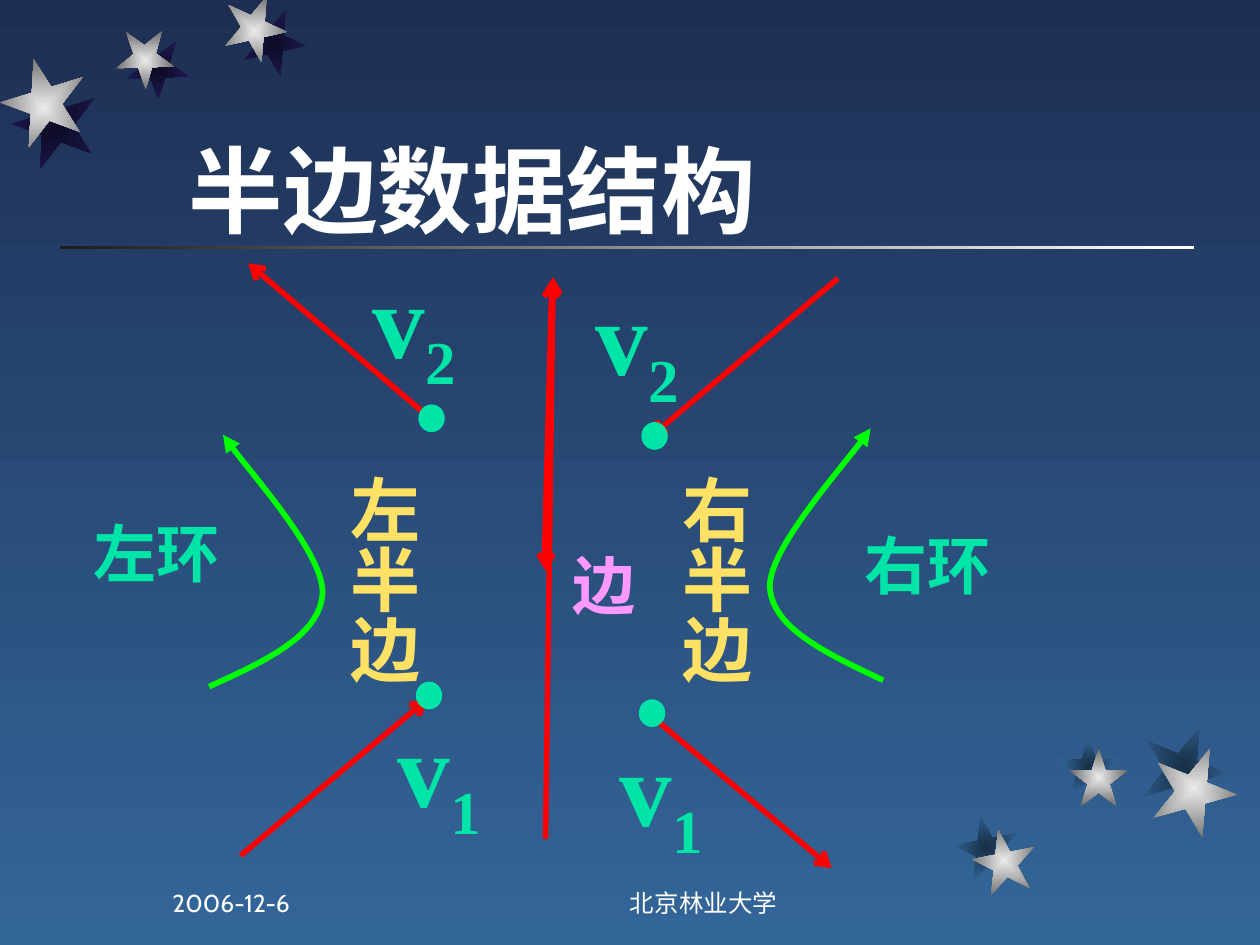
from dataclasses import dataclass

from lxml import etree
from pptx import Presentation
from pptx import util as u
from pptx.dml.color import RGBColor
from pptx.enum import shapes, text
from pptx.oxml import ns

WHITE = RGBColor(0xFF, 0xFF, 0xFF)
RULE_DARK = RGBColor(0x1C, 0x1C, 0x1C)
SKY_TOP = RGBColor(0x1E, 0x2E, 0x53)
SKY_BOTTOM = RGBColor(0x33, 0x66, 0x99)
STAR_FACE = (RGBColor(0xEA, 0xEA, 0xEA), RGBColor(0x6B, 0x6B, 0x6B))
SHADOW_TOP = (RGBColor(0x0D, 0x0B, 0x26), RGBColor(0x1E, 0x1A, 0x53))
SHADOW_BOTTOM = (RGBColor(0x17, 0x2F, 0x46), SKY_BOTTOM)
RED = RGBColor(0xFF, 0x00, 0x00)
GREEN = RGBColor(0x00, 0xFF, 0x00)
TEAL = RGBColor(0x00, 0xE4, 0xA8)
PINK = RGBColor(0xFF, 0x99, 0xFF)
YELLOW = RGBColor(0xFF, 0xE2, 0x65)
SANS, CJK, SERIF = "Cabin", "Noto Sans CJK SC", "Times New Roman"

Point = tuple[float, float]
Colors = tuple[RGBColor, RGBColor]


@dataclass
class Star:
    face: Point
    shadow: Point
    size: float
    rotation: float
    shadow_width: float


@dataclass
class Arrow:
    start: Point
    end: Point
    tip: str


@dataclass
class Label:
    words: str
    box: tuple[float, float, float, float]
    size: int
    font: str
    color: RGBColor
    bold: bool = True
    subscript: str = ""
    margins: Point = (0.1, 0.05)
    anchor: text.MSO_ANCHOR = text.MSO_ANCHOR.TOP
    align: text.PP_ALIGN = text.PP_ALIGN.LEFT
    wrap: bool = False
    vertical: bool = False


def set_gradient(fill, colors: Colors, angle: float) -> None:
    fill.gradient()
    fill.gradient_angle = angle
    for stop, color in zip(fill.gradient_stops, colors):
        stop.color.rgb = color


def draw_shape(page, kind, left: float, top: float, width: float, height: float):
    shape = page.shapes.add_shape(
        kind, u.Inches(left), u.Inches(top), u.Inches(width), u.Inches(height))
    shape.shadow.inherit = False
    shape.line.fill.background()
    return shape


def draw_star(page, place: Point, width: float, star: Star, colors: Colors) -> None:
    shape = draw_shape(page, shapes.MSO_SHAPE.STAR_5_POINT, *place, width, star.size)
    shape.rotation = star.rotation
    set_gradient(shape.fill, colors, 0)
    # Turn the linear gradient into one that spreads from the centre
    linear = shape._element.spPr.find(".//" + ns.qn("a:lin"))
    spread = etree.Element(ns.qn("a:path"), path="rect")
    etree.SubElement(spread, ns.qn("a:fillToRect"),
                     {side: "50000" for side in "ltrb"})
    linear.getparent().replace(linear, spread)


def draw_cluster(page, stars: list[Star], shadow: Colors) -> None:
    for star in stars:
        draw_star(page, star.shadow, star.shadow_width, star, shadow)
    for star in stars:
        draw_star(page, star.face, star.size, star, STAR_FACE)


def style_line(line, color: RGBColor, width: float, tip: str, kind: str) -> None:
    line.color.rgb = color
    line.width = u.Pt(width)
    etree.SubElement(line._get_or_add_ln(), ns.qn(f"a:{tip}End"), type=kind)


def draw_arrow(page, arrow: Arrow) -> None:
    connector = page.shapes.add_connector(
        shapes.MSO_CONNECTOR.STRAIGHT,
        *(u.Inches(value) for value in arrow.start + arrow.end))
    style_line(connector.line, RED, 3.12, arrow.tip, "arrow")
    etree.SubElement(connector._element.spPr, ns.qn("a:effectLst"))


def bezier(knots: list[Point], share: float) -> Point:
    rest = 1 - share
    weights = (rest**3, 3 * rest**2 * share, 3 * rest * share**2, share**3)
    x, y = (sum(w * value for w, value in zip(weights, axis)) for axis in zip(*knots))
    return u.Inches(x), u.Inches(y)


def draw_loop(page, knots: list[Point], steps: int = 24) -> None:
    points = [bezier(knots[first:first + 4], step / steps)
              for first in (0, 3) for step in range(steps + 1)]
    builder = page.shapes.build_freeform(*points[0])
    builder.add_line_segments(points[1:], close=False)
    curve = builder.convert_to_shape()
    curve.shadow.inherit = False
    curve.fill.background()
    style_line(curve.line, GREEN, 3.25, "tail", "triangle")


def draw_label(page, label: Label) -> None:
    box = page.shapes.add_textbox(*(u.Inches(value) for value in label.box))
    frame = box.text_frame
    frame.word_wrap = label.wrap
    frame.vertical_anchor = label.anchor
    frame.margin_left = frame.margin_right = u.Inches(label.margins[0])
    frame.margin_top = frame.margin_bottom = u.Inches(label.margins[1])
    if label.vertical:
        frame._txBody.bodyPr.set("vert", "eaVert")
    para = frame.paragraphs[0]
    para.alignment = label.align
    para.font.name = label.font
    para.font.size = u.Pt(label.size)
    para.font.bold = label.bold
    para.font.color.rgb = label.color
    para.add_run().text = label.words
    if label.subscript:
        span = para.add_run()
        span.text = label.subscript
        span._r.get_or_add_rPr().set("baseline", "-25000")


TOP_STARS = [Star((1.77, 0), (1.92, 0.11), 0.5, 167.3, 0.5),
             Star((0.92, 0.25), (1, 0.33), 0.46, 178.3, 0.5),
             Star((0.01, 0.52), (0.1, 0.69), 0.67, 200.3, 0.67)]
BOTTOM_STARS = [Star((7.72, 6.58), (7.58, 6.47), 0.5, 349, 0.5),
                Star((8.49, 5.94), (8.41, 5.85), 0.46, 0, 0.46),
                Star((9.14, 5.92), (9.06, 5.75), 0.67, 22, 0.67)]
ARROWS = [Arrow((4.39, 2.2), (4.33, 6.66), "head"),
          Arrow((1.91, 6.79), (3.39, 5.55), "tail"),
          Arrow((5.12, 5.64), (6.6, 6.89), "tail"),
          Arrow((5.16, 3.47), (6.65, 2.21), "head"),
          Arrow((1.97, 2.09), (3.45, 3.35), "head"),
          Arrow((4.38, 2.22), (4.32, 4.46), "head"),
          Arrow((4.39, 2.28), (4.33, 4.53), "tail")]
LOOPS = [[(1.66, 5.45), (2.1, 5.25), (2.54, 5.05), (2.56, 4.71),
          (2.58, 4.38), (1.9, 3.66), (1.77, 3.45)],
         [(7.01, 5.4), (6.57, 5.19), (6.13, 4.99), (6.11, 4.66),
          (6.1, 4.33), (6.78, 3.61), (6.91, 3.4)]]
VERTICES = [(3.32, 3.21), (3.3, 5.41), (5.09, 3.35), (5.07, 5.55)]
LABELS = [
    Label("半边数据结构", (1.4, 0.4, 7.5, 1.6), 54, SANS, WHITE,
          anchor=text.MSO_ANCHOR.BOTTOM, wrap=True),
    *(Label(words, (left, top, width, 0.6), 36, CJK, color, margins=(0, 0))
      for words, left, top, width, color in [("边", 4.54, 4.34, 0.5, PINK),
                                             ("右环", 6.86, 4.18, 1, TEAL),
                                             ("左环", 0.74, 4.08, 1, TEAL)]),
    *(Label(words, (left, 3.67, 0.86, 1.77), 40, SERIF, YELLOW,
            margins=(0.05, 0.1), vertical=True)
      for words, left in [("左半边", 2.56), ("右半边", 5.2)]),
    *(Label("v", (left, top, 0.86, 1.24), 60, SERIF, TEAL, subscript=number)
      for number, left, top in [("2", 2.86, 1.96), ("1", 3.06, 5.53),
                                ("2", 4.63, 2.1), ("1", 4.82, 5.68)]),
    *(Label(words, (left, 6.83, width, 0.5), 14, SANS, WHITE, bold=False,
            anchor=text.MSO_ANCHOR.BOTTOM, align=align, wrap=True)
      for words, left, width, align in [
          ("北京林业大学", 4, 3.17, text.PP_ALIGN.CENTER),
          ("2006-12-6", 1.27, 2.08, text.PP_ALIGN.LEFT)]),
]


def main() -> None:
    deck = Presentation()
    deck.slide_width, deck.slide_height = u.Inches(10), u.Inches(7.5)
    page = deck.slides.add_slide(deck.slide_layouts[6])

    # Backdrop: sky, title rule and star clusters
    set_gradient(page.background.fill, (SKY_TOP, SKY_BOTTOM), 270)
    rule = draw_shape(page, shapes.MSO_SHAPE.RECTANGLE, 0.48, 1.95, 9, 0.03)
    set_gradient(rule.fill, (WHITE, RULE_DARK), 180)
    draw_cluster(page, TOP_STARS, SHADOW_TOP)
    draw_cluster(page, BOTTOM_STARS, SHADOW_BOTTOM)

    # Half-edge diagram
    for arrow in ARROWS:
        draw_arrow(page, arrow)
    for knots in LOOPS:
        draw_loop(page, knots)
    for left, top in VERTICES:
        dot = draw_shape(page, shapes.MSO_SHAPE.OVAL, left, top, 0.21, 0.22)
        dot.fill.solid()
        dot.fill.fore_color.rgb = TEAL

    # Title, diagram labels and footer
    for label in LABELS:
        draw_label(page, label)

    deck.save("out.pptx")


if __name__ == "__main__":
    main()
